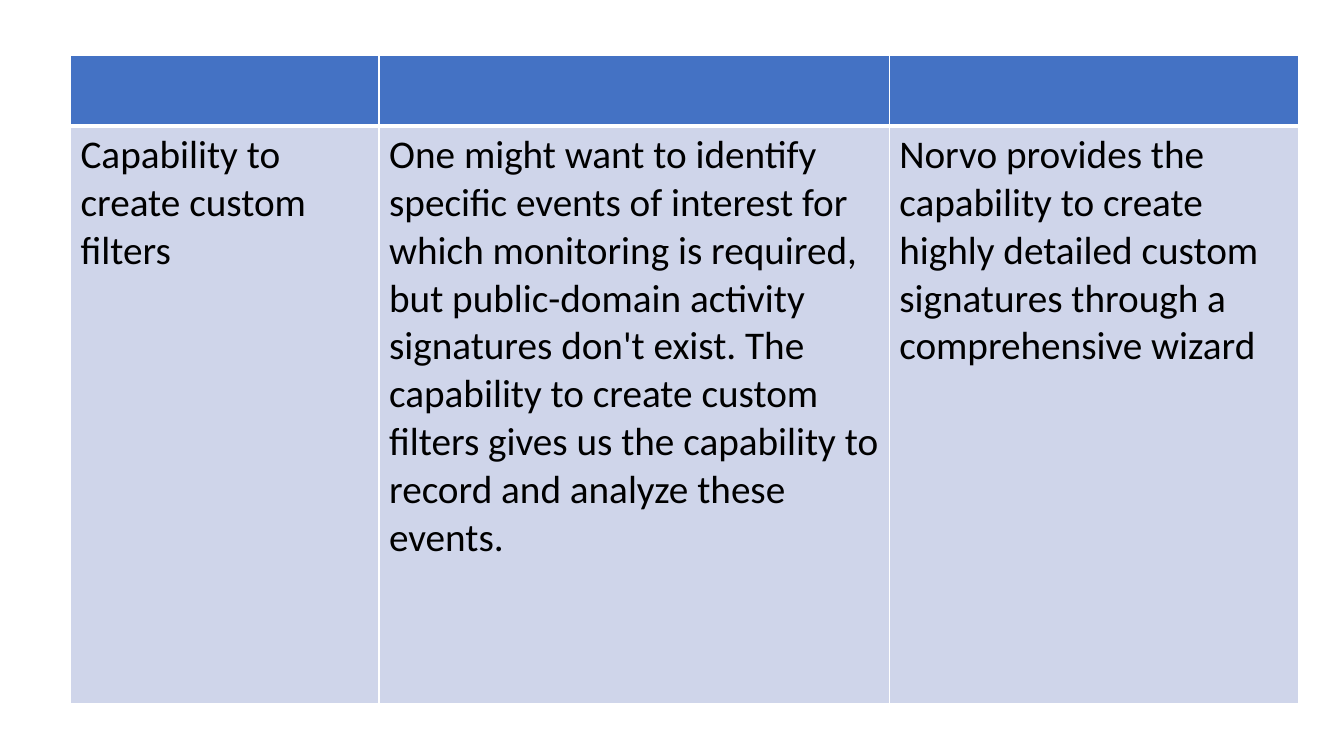
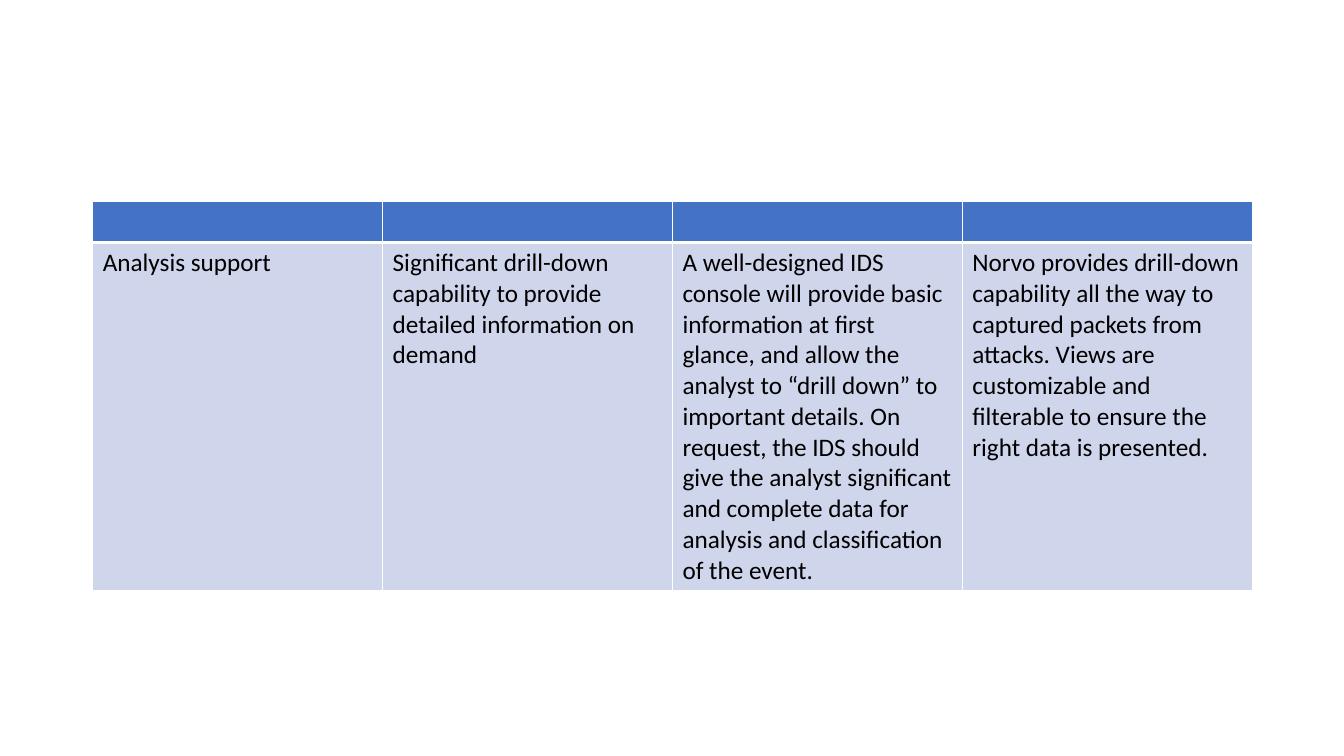
from dataclasses import dataclass

from lxml import etree
from pptx import Presentation
from pptx.dml.color import RGBColor
from pptx.oxml import ns
from pptx.util import Inches, Pt

# Shared style
FONT = "Calibri"
HEADER_FILL = "4472C4"
BODY_FILL = "CFD5EA"
TEXT_COLOR = "000000"
BORDER_COLOR = "FFFFFF"
THIN, THICK = 1, 3


@dataclass
class Comparison:
    """A table with an empty header row above one row of text."""
    left: float
    top: float
    widths: list[float]
    header_height: float
    body_height: float
    size: int
    texts: list[str]


COMPARISONS = [
    Comparison(0.7, 0.55, [3.06, 5.06, 4.06], 0.7, 5.73, 28, [
        "Capability to create custom filters",
        "One might want to identify specific events of interest for which "
        "monitoring is required, but public-domain activity signatures don't "
        "exist. The capability to create custom filters gives us the "
        "capability to record and analyze these events.",
        "Norvo provides the capability to create highly detailed custom "
        "signatures through a comprehensive wizard",
    ]),
    Comparison(0.92, 2, [11.5 / 4] * 4, 0.4, 3.4, 18, [
        "Analysis support",
        "Significant drill-down capability to provide detailed information "
        "on demand",
        "A well-designed IDS console will provide basic information at first "
        "glance, and allow the analyst to “drill down” to important details. "
        "On request, the IDS should give the analyst significant and complete "
        "data for analysis and classification of the event.",
        "Norvo provides drill-down capability all the way to captured packets "
        "from attacks. Views are customizable and filterable to ensure the "
        "right data is presented.",
    ]),
]


def color(value: str) -> RGBColor:
    return RGBColor.from_string(value)


def set_borders(cell, top: int, bottom: int) -> None:
    """Draw the four cell borders; their elements must precede the fill."""
    properties = cell._tc.get_or_add_tcPr()
    sides = {"lnL": THIN, "lnR": THIN, "lnT": top, "lnB": bottom}
    for index, (side, width) in enumerate(sides.items()):
        line = etree.Element(ns.qn(f"a:{side}"), w=str(Pt(width)))
        fill = etree.SubElement(line, ns.qn("a:solidFill"))
        etree.SubElement(fill, ns.qn("a:srgbClr"), val=BORDER_COLOR)
        properties.insert(index, line)


def style_cell(cell, fill: str, top: int, bottom: int) -> None:
    cell.fill.solid()
    cell.fill.fore_color.rgb = color(fill)
    set_borders(cell, top, bottom)


def add_comparison(page, item: Comparison) -> None:
    table = page.shapes.add_table(
        2, len(item.widths), Inches(item.left), Inches(item.top),
        Inches(sum(item.widths)),
        Inches(item.header_height + item.body_height)).table
    table.rows[0].height = Inches(item.header_height)
    table.rows[1].height = Inches(item.body_height)

    for index, (width, content) in enumerate(zip(item.widths, item.texts)):
        table.columns[index].width = Inches(width)
        style_cell(table.cell(0, index), HEADER_FILL, THIN, THICK)

        body = table.cell(1, index)
        style_cell(body, BODY_FILL, THICK, THIN)
        body.text = content
        font = body.text_frame.paragraphs[0].font
        font.name = FONT
        font.size = Pt(item.size)
        font.color.rgb = color(TEXT_COLOR)


def main() -> None:
    deck = Presentation()
    deck.slide_width = Inches(13.33)
    deck.slide_height = Inches(7.5)
    blank = deck.slide_layouts[6]
    for item in COMPARISONS:
        add_comparison(deck.slides.add_slide(blank), item)
    deck.save("out.pptx")


if __name__ == "__main__":
    main()
